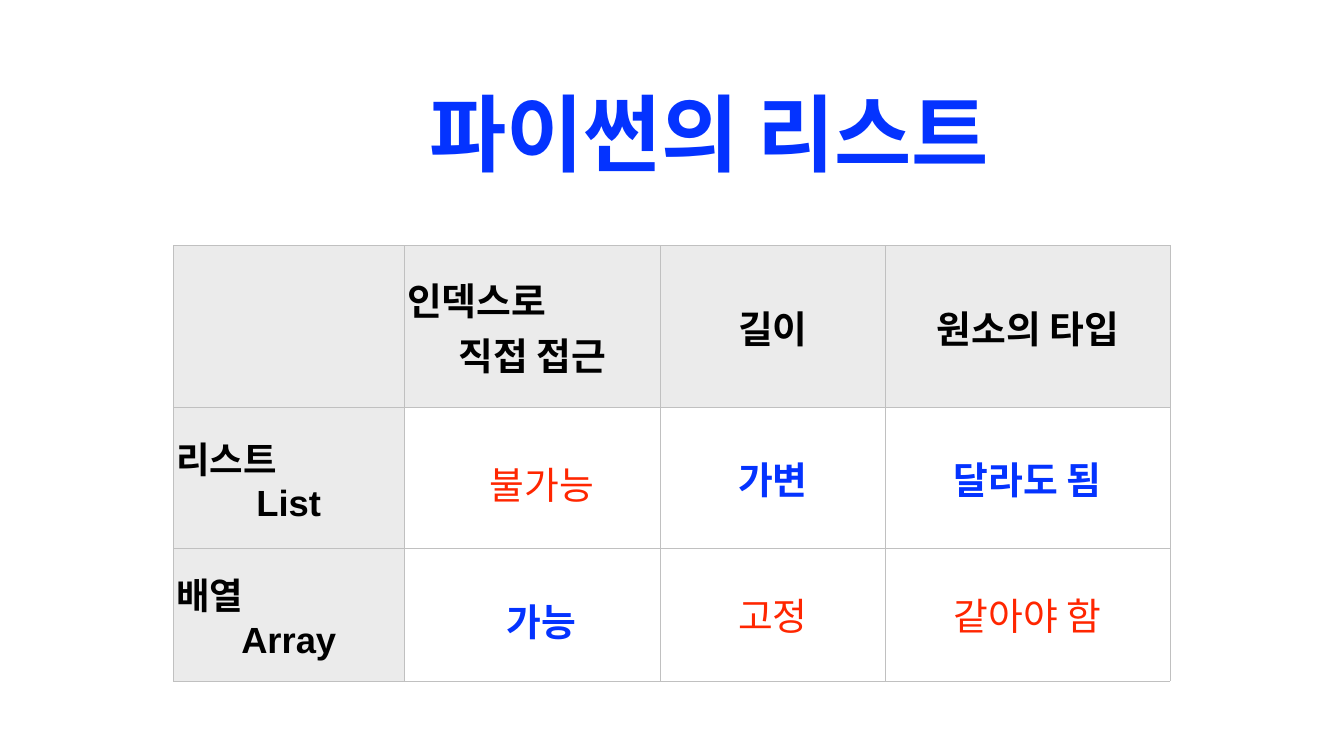
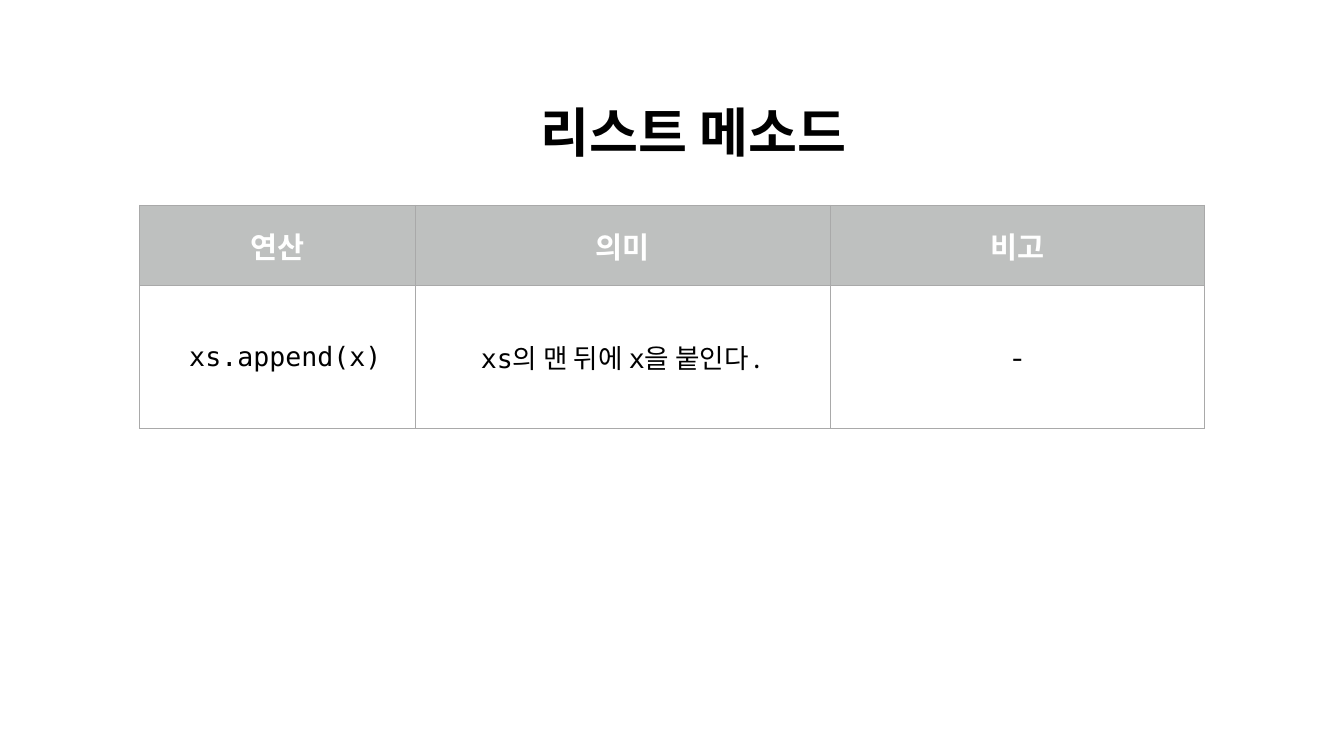
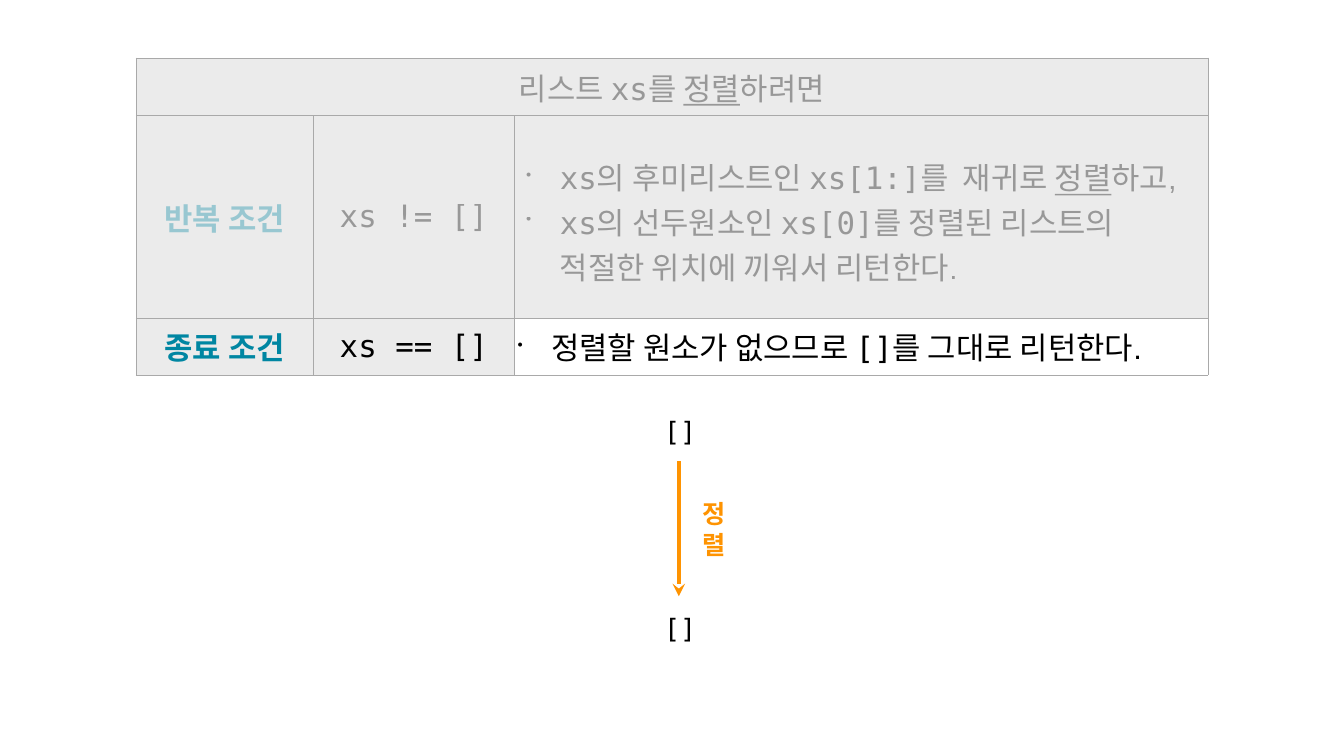
"""Build three slides on Python lists: comparison, methods and recursive sorting."""
from lxml import etree
from pptx import Presentation
from pptx.dml.color import RGBColor
from pptx.enum.shapes import MSO_CONNECTOR
from pptx.enum.text import MSO_ANCHOR, MSO_AUTO_SIZE, PP_ALIGN
from pptx.oxml.ns import qn
from pptx.util import Pt

PX = 9144
LEFT, CENTER = PP_ALIGN.LEFT, PP_ALIGN.CENTER
MIDDLE, BOTTOM = MSO_ANCHOR.MIDDLE, MSO_ANCHOR.BOTTOM
NO_FIT, FIT_SHAPE = MSO_AUTO_SIZE.NONE, MSO_AUTO_SIZE.SHAPE_TO_FIT_TEXT
STRAIGHT = MSO_CONNECTOR.STRAIGHT
TITLE_ONLY, BLANK = 5, 6
INSET = 6

SANS, CODE, MONO = "Arial", "DejaVu Sans Mono", "Noto Sans Mono"
BLACK, WHITE, BLUE, RED = "000000", "FFFFFF", "0433FF", "FF2600"
TEAL, ORANGE, PALE, GRAY = "0086A2", "FE9301", "EBEBEB", "BEC0BF"
FADED = 34

# font, size, colour, bold, underline, opacity
STYLES = {
    "main title": (SANS, 120, BLUE, True, False, 100),
    "title": (SANS, 76, BLACK, True, False, 100),
    "heading": (SANS, 54, BLACK, True, False, 100),
    "row heading": (SANS, 52, BLACK, True, False, 100),
    "weak": (SANS, 54, RED, False, False, 100),
    "strong": (SANS, 54, BLUE, True, False, 100),
    "method heading": (SANS, 42, WHITE, True, False, 100),
    "method code": (CODE, 38, BLACK, False, False, 100),
    "method text": (MONO, 38, BLACK, False, False, 100),
    "faded mono": (MONO, 44, BLACK, False, False, FADED),
    "faded mono link": (MONO, 44, BLACK, False, True, FADED),
    "faded code": (CODE, 44, BLACK, False, False, FADED),
    "faded text": (SANS, 44, BLACK, False, False, FADED),
    "faded link": (SANS, 44, BLACK, False, True, FADED),
    "faded condition": (SANS, 44, TEAL, True, False, FADED),
    "condition": (SANS, 44, TEAL, True, False, 100),
    "code": (CODE, 44, BLACK, False, False, 100),
    "text": (SANS, 44, BLACK, False, False, 100),
    "arrow label": (SANS, 36, ORANGE, True, False, 100),
}

# alignment, left margin, first line indent, line spacing, bullet
LAYOUTS = {
    "left": (LEFT, 0, 0, None, False),
    "center": (CENTER, 0, 0, None, False),
    "shifted": (CENTER, 0, 38, 1.2, False),
    "loose bullet": (LEFT, 84, -67, 1.2, True),
    "deep bullet": (LEFT, 84, -67, None, True),
    "bullet": (LEFT, 67, -67, None, True),
}


def rgb(value):
    """Turn a hex string into a colour."""
    return RGBColor.from_string(value)


def write(text_frame, paragraphs):
    """Fill a text frame with (layout, (text, style), ...) paragraphs."""
    text_frame.text = "\n".join("" for _ in paragraphs)
    for paragraph, (layout, *runs) in zip(text_frame.paragraphs, paragraphs):
        alignment, margin, indent, spacing, bullet = LAYOUTS[layout]
        properties = paragraph._p.get_or_add_pPr()
        properties.set("marL", str(margin * PX))
        properties.set("indent", str(indent * PX))
        properties.set("hangingPunct", "0")
        if bullet:
            etree.SubElement(properties, qn("a:buSzPct"), val="50000")
            etree.SubElement(properties, qn("a:buChar"), char="•")
        paragraph.alignment = alignment
        if spacing:
            paragraph.line_spacing = spacing
        for text, style in runs:
            name, size, color, bold, underline, opacity = STYLES[style]
            run = paragraph.add_run()
            run.text = text
            run.font.name, run.font.size = name, Pt(size)
            run.font.bold, run.font.underline = bold, underline
            run.font.color.rgb = rgb(color)
            if opacity < 100:
                color_element = run._r.find(".//" + qn("a:srgbClr"))
                etree.SubElement(color_element, qn("a:alpha"), val=str(opacity * 1000))


# each cell: fill, then its paragraphs
comparison_rows = [
    [
        (PALE,),
        (PALE, ("left", ("인덱스로", "heading")), ("center", ("직접 접근", "heading"))),
        (PALE, ("center", ("길이", "heading"))),
        (PALE, ("center", ("원소의 타입", "heading"))),
    ],
    [
        (PALE, ("left", ("리스트", "row heading")), ("center", ("List", "row heading"))),
        (None, ("shifted", ("불가능", "weak"))),
        (None, ("center", ("가변", "strong"))),
        (None, ("center", ("달라도 됨", "strong"))),
    ],
    [
        (PALE, ("left", ("배열", "row heading")), ("center", ("Array", "row heading"))),
        (WHITE, ("shifted", ("가능", "strong"))),
        (WHITE, ("center", ("고정", "weak"))),
        (WHITE, ("center", ("같아야 함", "weak"))),
    ],
]
method_rows = [
    [(GRAY, ("center", (text, "method heading"))) for text in ("연산", "의미", "비고")],
    [
        (None, ("center", (" xs.append(x)", "method code"))),
        (None, ("center", ("xs", "method code"), ("의 맨 뒤에 ", "method text"),
                ("x", "method code"), ("을 붙인다.", "method text"))),
        (None, ("center", ("-", "method text"))),
    ],
]
sorting_rows = [
    [
        (PALE, ("center", ("리스트 ", "faded mono"), ("xs", "faded code"), ("를 ", "faded mono"),
                ("정렬", "faded mono link"), ("하려면", "faded mono"))),
        (PALE,),
        (PALE,),
    ],
    [
        (PALE, ("center", ("반복 조건", "faded condition"))),
        (PALE, ("center", ("xs != []", "faded code"))),
        (PALE,
         ("loose bullet", ("xs", "faded code"), ("의 후미리스트인 ", "faded text"),
          ("xs[1:]", "faded code"), ("를  재귀로 ", "faded text"),
          ("정렬", "faded link"), ("하고,", "faded text")),
         ("deep bullet", ("xs", "faded code"), ("의 선두원소인 ", "faded text"),
          ("xs[0]", "faded code"),
          ("를 정렬된 리스트의 적절한 위치에 끼워서 리턴한다.", "faded text"))),
    ],
    [
        (PALE, ("center", ("종료 조건", "condition"))),
        (PALE, ("center", ("xs == []", "code"))),
        (None, ("bullet", ("정렬할 원소가 없으므로 ", "text"), ("[]", "code"),
                ("를 그대로 리턴한다.", "text"))),
    ],
]

# title (text, style, box), table corner, column widths, row heights, border, cells
pages = [
    (("파이썬의 리스트", "main title", (795, 142, 1225, 226)),
     (344, 487), (458, 508, 447, 565), (322, 278, 264), "C0C0C0", comparison_rows),
    (("리스트 메소드", "title", (1024, 182, 704, 147)),
     (277, 407), (547, 824, 742), (160, 283), "A9A9A9", method_rows),
    (None, (270, 115), (352, 399, 1376), (114, 301, 113), "A9A9A9", sorting_rows),
]

presentation = Presentation()
presentation.slide_width = 2667 * PX
presentation.slide_height = 1500 * PX

for title, corner, widths, heights, border, rows in pages:
    slide = presentation.slides.add_slide(presentation.slide_layouts[TITLE_ONLY if title else BLANK])
    if title:
        text, style, box = title
        shape = slide.shapes.title
        shape.left, shape.top, shape.width, shape.height = [length * PX for length in box]
        shape.fill.solid()
        shape.fill.fore_color.rgb = rgb(WHITE)
        text_frame = shape.text_frame
        text_frame.auto_size = NO_FIT
        text_frame.vertical_anchor = BOTTOM
        text_frame.margin_left = text_frame.margin_right = INSET * PX
        text_frame.margin_top = text_frame.margin_bottom = INSET * PX
        write(text_frame, [("center", (text, style))])

    left, top = corner
    table = slide.shapes.add_table(len(heights), len(widths), left * PX, top * PX,
                                   sum(widths) * PX, sum(heights) * PX).table
    table.first_row = table.horz_banding = False
    for column, width in zip(table.columns, widths):
        column.width = width * PX
    for row, height, contents in zip(table.rows, heights, rows):
        row.height = height * PX
        for cell, (fill, *paragraphs) in zip(row.cells, contents):
            cell.vertical_anchor = MIDDLE
            cell.margin_left = cell.margin_right = INSET * PX
            cell.margin_top = cell.margin_bottom = INSET * PX
            cell_properties = cell._tc.get_or_add_tcPr()
            for side in ("a:lnL", "a:lnR", "a:lnT", "a:lnB"):
                line = etree.SubElement(cell_properties, qn(side), w=str(Pt(1)))
                line_fill = etree.SubElement(line, qn("a:solidFill"))
                etree.SubElement(line_fill, qn("a:srgbClr"), val=border)
            if fill:
                cell.fill.solid()
                cell.fill.fore_color.rgb = rgb(fill)
            else:
                cell.fill.background()
            if paragraphs:
                write(cell.text_frame, paragraphs)

table.cell(0, 0).merge(table.cell(0, 2))

# box, right inset, wrap, fit, layout, text, style
labels = [
    ((1310, 815, 81, 78), 8, False, FIT_SHAPE, "left", "[]", "method code"),
    ((1386, 1012, 104, 75), 49, True, NO_FIT, "center", "정렬", "arrow label"),
    ((1310, 1206, 81, 78), 8, False, FIT_SHAPE, "left", "[]", "method code"),
]
for box, right_inset, wrap, fit, layout, text, style in labels:
    text_frame = slide.shapes.add_textbox(*[length * PX for length in box]).text_frame
    text_frame.word_wrap = wrap
    text_frame.auto_size = fit
    text_frame.vertical_anchor = MIDDLE
    text_frame.margin_left = text_frame.margin_top = text_frame.margin_bottom = 8 * PX
    text_frame.margin_right = right_inset * PX
    write(text_frame, [(layout, (text, style))])

arrow = slide.shapes.add_connector(STRAIGHT, 1347 * PX, 915 * PX, 1347 * PX, 1183 * PX)
arrow.line.color.rgb = rgb(ORANGE)
arrow.line.width = Pt(6)
etree.SubElement(arrow.line._get_or_add_ln(), qn("a:tailEnd"), type="stealth")
etree.SubElement(arrow._element.spPr, qn("a:effectLst"))

presentation.save("out.pptx")
